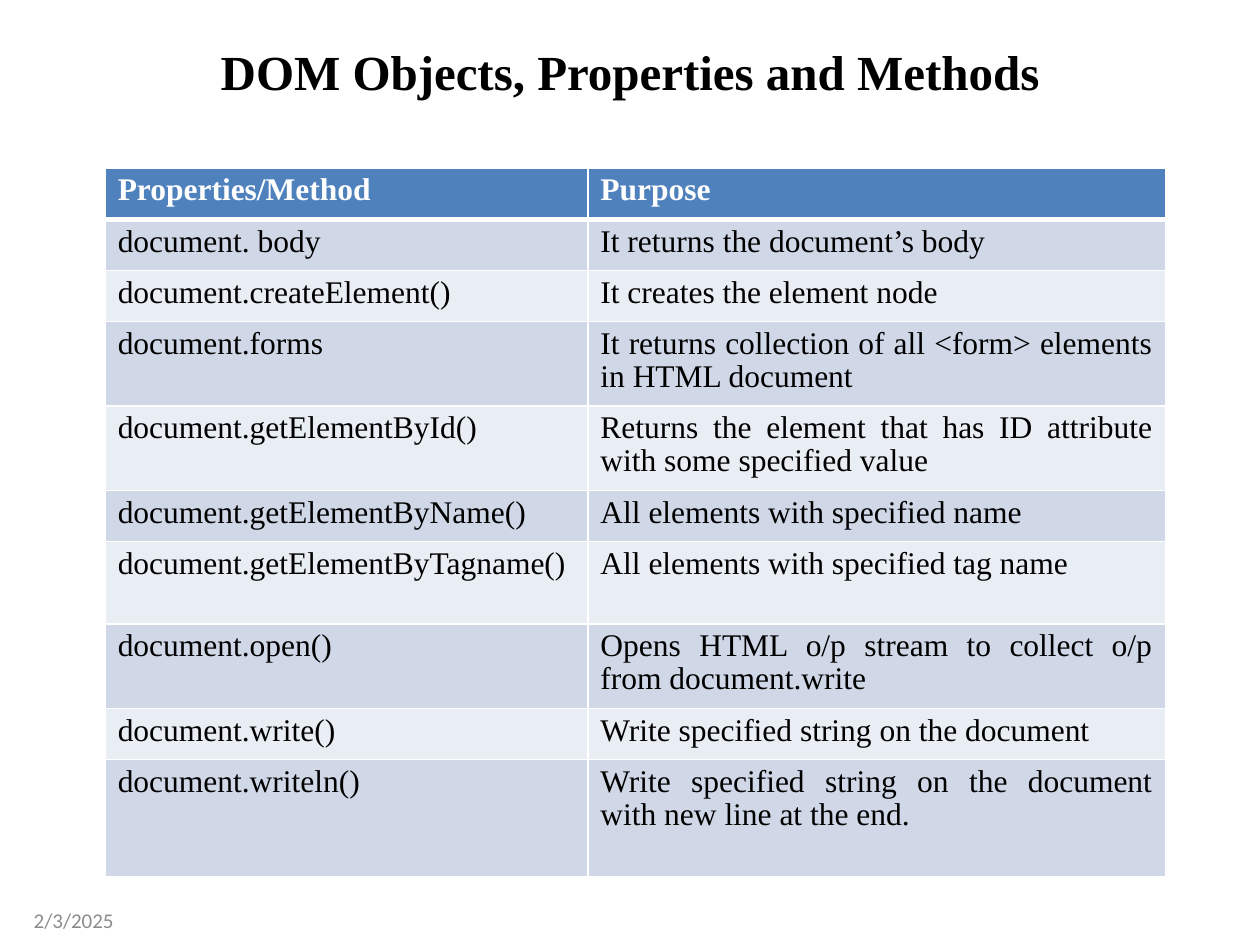
from lxml.etree import SubElement
from pptx import Presentation
from pptx.dml.color import RGBColor
from pptx.enum.text import MSO_ANCHOR as Anchor, PP_ALIGN as Align
from pptx.oxml.ns import qn
from pptx.util import Cm, Pt

BLACK = RGBColor(0x00, 0x00, 0x00)
WHITE = RGBColor(0xFF, 0xFF, 0xFF)
GREY = RGBColor(0x8C, 0x8C, 0x8C)
HEADER_BLUE = RGBColor(0x4F, 0x81, 0xBD)
BANDS = (RGBColor(0xE9, 0xED, 0xF4), RGBColor(0xD0, 0xD8, 0xE8))
SERIF = "Times New Roman"
ONE_LINE, TWO_LINES, LAST_ROW = Cm(1.03), Cm(1.66), Cm(2.36)
COLUMN_WIDTHS = (Cm(9.73), Cm(11.64))

ROWS = [
    ("Properties/Method", "Purpose", ONE_LINE),
    ("document. body", "It returns the document’s body", ONE_LINE),
    ("document.createElement()", "It creates the element node", ONE_LINE),
    ("document.forms", "It returns collection of all <form> elements in HTML document", TWO_LINES),
    ("document.getElementById()", "Returns the element that has ID attribute with some specified value", TWO_LINES),
    ("document.getElementByName()", "All elements with specified name", ONE_LINE),
    ("document.getElementByTagname()", "All elements with specified tag name", TWO_LINES),
    ("document.open()", "Opens HTML o/p stream to collect o/p from document.write", TWO_LINES),
    ("document.write()", "Write specified string on the document", ONE_LINE),
    ("document.writeln()", "Write specified string on the document with new line at the end.", LAST_ROW),
]


def write_text(frame, text, size=18, font=SERIF, color=BLACK, bold=False,
               align=Align.LEFT, spacing=None):
    """Fill a text frame with one formatted paragraph."""
    frame.word_wrap = True
    paragraph = frame.paragraphs[0]
    paragraph.alignment = align
    paragraph.line_spacing = spacing
    run = paragraph.add_run()
    run.text = text
    run.font.size = Pt(size)
    run.font.name = font
    run.font.bold = bold
    run.font.color.rgb = color


def add_borders(cell, bottom):
    """Draw white cell borders, the bottom one with its own width."""
    properties = cell._tc.get_or_add_tcPr()
    for side, width in (("L", 1), ("R", 1), ("T", 1), ("B", bottom)):
        line = SubElement(properties, qn(f"a:ln{side}"), w=str(Pt(width)))
        fill = SubElement(line, qn("a:solidFill"))
        SubElement(fill, qn("a:srgbClr"), val=str(WHITE))


def add_title(slide, text):
    """Place and fill the title placeholder."""
    title = slide.shapes.title
    title.left, title.top, title.width, title.height = Cm(1.27), Cm(0.43), Cm(22.86), Cm(1.98)
    title.text_frame.vertical_anchor = Anchor.MIDDLE
    write_text(title.text_frame, text, size=28, bold=True, align=Align.CENTER)


def add_date(slide, text):
    """Add the date at the lower left."""
    date = slide.shapes.add_textbox(Cm(0.43), Cm(18.03), Cm(2.74), Cm(1.02))
    date.text_frame.vertical_anchor = Anchor.MIDDLE
    write_text(date.text_frame, text, size=12, font="Calibri", color=GREY)


def add_methods_table(slide):
    """Add the banded table of methods and their purposes."""
    height = sum(row[-1] for row in ROWS)
    table = slide.shapes.add_table(len(ROWS), len(COLUMN_WIDTHS), Cm(2.12), Cm(3.39),
                                   sum(COLUMN_WIDTHS), height).table
    for column, width in zip(table.columns, COLUMN_WIDTHS):
        column.width = width
    for index, (method, purpose, row_height) in enumerate(ROWS):
        header = index == 0
        table.rows[index].height = row_height
        for cell, text in zip(table.rows[index].cells, (method, purpose)):
            add_borders(cell, bottom=3 if header else 1)
            cell.fill.solid()
            cell.fill.fore_color.rgb = HEADER_BLUE if header else BANDS[index % 2]
            write_text(cell.text_frame, text, color=WHITE if header else BLACK,
                       bold=header, align=Align.JUSTIFY, spacing=0.95)


def main():
    """Build and save the slide."""
    deck = Presentation()
    deck.slide_width, deck.slide_height = Cm(25.4), Cm(19.05)
    slide = deck.slides.add_slide(deck.slide_layouts[5])
    add_title(slide, "DOM Objects, Properties and Methods")
    add_date(slide, "2/3/2025")
    add_methods_table(slide)
    deck.save("out.pptx")


if __name__ == "__main__":
    main()
